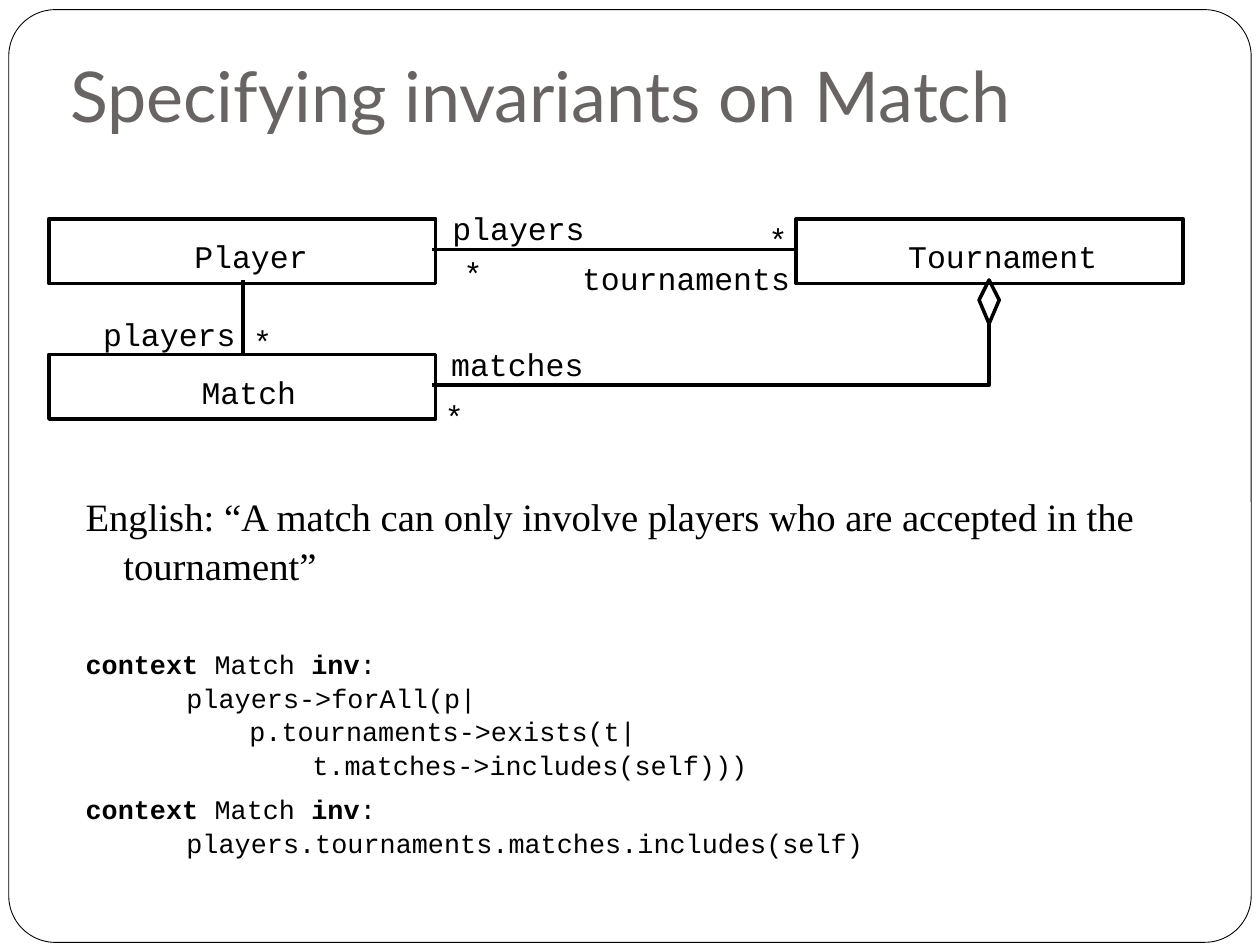
from lxml.etree import SubElement
from pptx import Presentation
from pptx.dml.color import RGBColor
from pptx.enum.shapes import MSO_CONNECTOR as Connector, MSO_SHAPE as Preset
from pptx.enum.text import MSO_ANCHOR as Anchor, PP_ALIGN as Align
from pptx.oxml.ns import qn
from pptx.util import Pt


def color(value):
    """Turn a hex string into a colour."""
    return RGBColor.from_string(value)


def write(para, text, size=18, font="Courier New", ink="000000", bold=False):
    """Add one formatted span to a paragraph."""
    span = para.add_run()
    span.text = text
    span.font.size = Pt(size)
    span.font.name = font
    span.font.bold = bold
    span.font.color.rgb = color(ink)


class Diagram:
    """Hold the style and the current slide."""

    ink = "000000"
    paper = "FFFFFF"
    stroke = 2
    char_width = 10.8

    def __init__(self, page):
        """Start drawing on a slide."""
        self.page = page
        self.shapes = page.shapes

    def finish(self, shape, fill=None, stroke=None):
        """Give a shape its fill and outline."""
        shape.shadow.inherit = False
        if fill:
            shape.fill.solid()
            shape.fill.fore_color.rgb = color(fill)
        else:
            shape.fill.background()
        shape.line.color.rgb = color(self.ink)
        shape.line.width = Pt(stroke or self.stroke)
        return shape

    def title(self, text, left, top, width, height):
        """Place and format the title."""
        title = self.shapes.title
        title.left, title.top, title.width, title.height = map(Pt, (left, top, width, height))
        frame = title.text_frame
        frame.vertical_anchor = Anchor.BOTTOM
        frame.margin_bottom = Pt(7.2)
        para = frame.paragraphs[0]
        para.alignment = Align.LEFT
        write(para, text, size=40, font="Lato", ink="696464")

    def border(self, left, top, width, height):
        """Draw the rounded page border behind the title."""
        border = self.shapes.add_shape(
            Preset.ROUNDED_RECTANGLE, *map(Pt, (left, top, width, height)))
        border.adjustments[0] = 0.05
        self.finish(border, fill=self.paper, stroke=0.5)
        self.shapes.title.element.addprevious(border.element)

    def class_box(self, left, top):
        """Draw the outline of a class."""
        self.finish(self.shapes.add_shape(
            Preset.RECTANGLE, *map(Pt, (left, top, 221, 37))))

    def label(self, text, left, top):
        """Write a one-line label."""
        box = self.shapes.add_textbox(
            Pt(left), Pt(top), Pt(len(text) * self.char_width), Pt(21.6))
        frame = box.text_frame
        frame.word_wrap = False
        frame.margin_left = frame.margin_top = frame.margin_right = frame.margin_bottom = 0
        write(frame.paragraphs[0], text)

    def line(self, *ends):
        """Draw a straight association."""
        link = self.shapes.add_connector(Connector.STRAIGHT, *map(Pt, ends))
        link.line.color.rgb = color(self.ink)
        link.line.width = Pt(self.stroke)
        SubElement(link.element.spPr, qn("a:effectLst"))

    def outline(self, points, close=False):
        """Draw a path through points, filled when closed."""
        (first, *rest) = [(Pt(x), Pt(y)) for x, y in points]
        builder = self.shapes.build_freeform(*first)
        builder.add_line_segments(rest, close=close)
        self.finish(builder.convert_to_shape(), fill=self.paper if close else None)

    def body(self, left, top, width, height):
        """Add a wrapping text frame."""
        box = self.shapes.add_textbox(*map(Pt, (left, top, width, height)))
        box.text_frame.word_wrap = True
        return box.text_frame

    def hang(self, para, before=0):
        """Give a paragraph its hanging indent and spacing."""
        props = para._p.get_or_add_pPr()
        props.set("marL", str(Pt(21.6)))
        props.set("indent", str(-Pt(21.6)))
        para.line_spacing = 1.05
        para.space_before = Pt(before)

    def invariant(self, para, context, lines):
        """Write one constraint, each line a tab deeper."""
        for text, bold in (("context", True), (f" {context} ", False), ("inv", True), (":", False)):
            write(para, text, size=15.3, bold=bold)
        for depth, text in enumerate(lines, 1):
            para.add_line_break()
            write(para, "\t" * depth + text, size=15.3)


def main():
    """Build the slide and save it."""
    deck = Presentation()
    deck.slide_width, deck.slide_height = Pt(720), Pt(540)
    diagram = Diagram(deck.slides.add_slide(deck.slide_layouts[5]))
    diagram.border(5, 5.5, 710, 533)
    diagram.title("Specifying invariants on Match", 33, 17.3, 642, 67.7)

    frame = diagram.body(41.8, 277, 630, 183)
    para = frame.paragraphs[0]
    diagram.hang(para)
    write(para, "English: “A match can only involve players who are accepted in the tournament”",
          size=22.1, font="Times New Roman")
    constraints = [
        (33, ["players->forAll(p|", "p.tournaments->exists(t|", "t.matches->includes(self)))"]),
        (6, ["players.tournaments.matches.includes(self)"]),
    ]
    for before, lines in constraints:
        para = frame.add_paragraph()
        diagram.hang(para, before)
        diagram.invariant(para, "Match", lines)

    diagram.outline([(247, 220), (565.2, 220), (565.2, 160)])
    diagram.outline([(559.5, 171.5), (565.2, 160), (571, 171.5), (565.2, 185)], close=True)
    diagram.line(139, 202, 139, 160)
    diagram.line(455, 142.5, 247, 142.5)
    for left, top in ((28, 125), (28, 202.5), (455, 125)):
        diagram.class_box(left, top)

    labels = [
        ("Player", 111, 135.4), ("Tournament", 519, 135.4), ("Match", 115.2, 213),
        ("players", 258.5, 119.5), ("*", 265, 145.4),
        ("*", 439.2, 126), ("tournaments", 332.6, 148.3),
        ("players", 59, 180), ("*", 144.7, 184.3),
        ("matches", 257.8, 197.3), ("*", 254.2, 226.8),
    ]
    for text, left, top in labels:
        diagram.label(text, left, top)
    deck.save("out.pptx")


if __name__ == "__main__":
    main()
